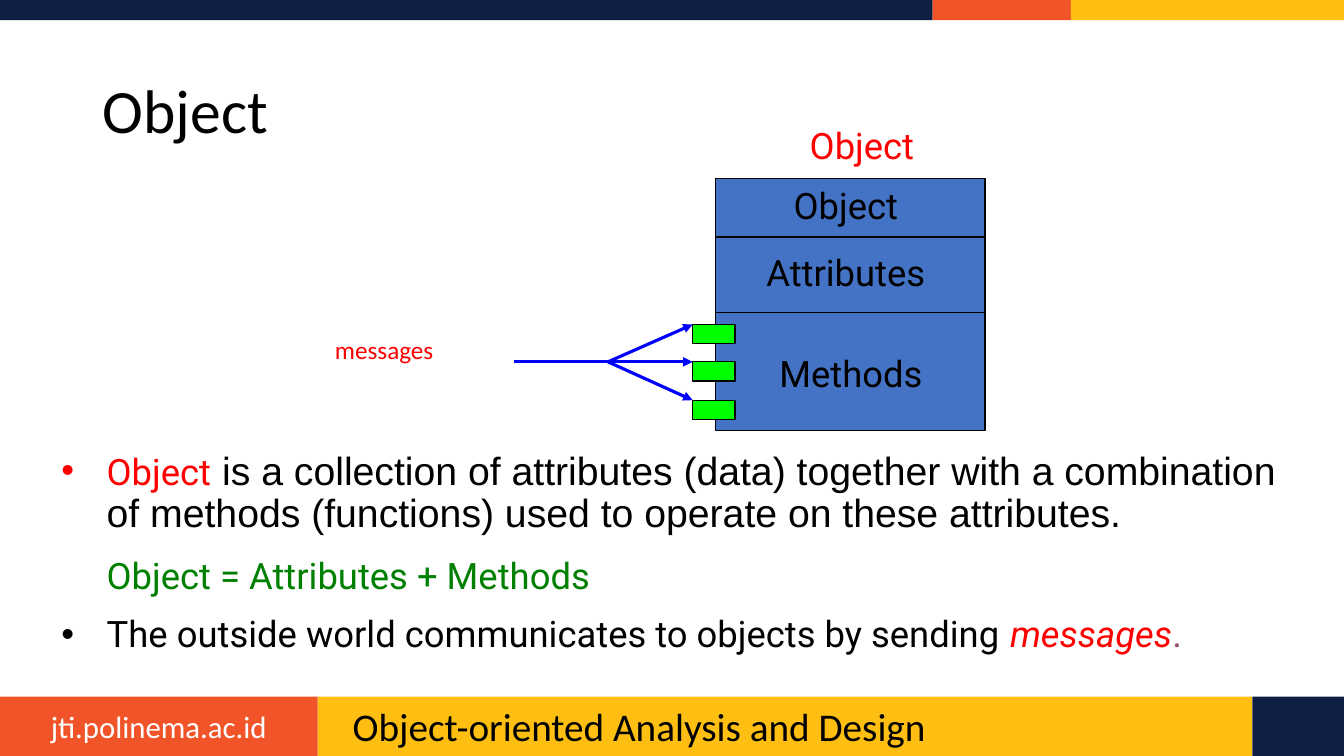
from dataclasses import dataclass

from lxml import etree
from pptx import Presentation
from pptx.dml.color import RGBColor
from pptx.enum.shapes import MSO_CONNECTOR as Connector, MSO_SHAPE as Shape
from pptx.enum.text import MSO_ANCHOR as Anchor, PP_ALIGN as Align
from pptx.oxml.ns import qn
from pptx.util import Inches, Pt


@dataclass(frozen=True)
class Theme:
    navy: str = "0E1F43"
    orange: str = "F15429"
    yellow: str = "FEBF12"
    blue: str = "4472C4"
    lime: str = "00FF00"
    arrow: str = "0000FF"
    red: str = "FF0000"
    green: str = "008000"
    purple: str = "954F72"
    black: str = "000000"
    white: str = "FFFFFF"
    title_size: int = 44
    large_size: int = 28
    label_size: int = 26
    address_size: int = 22
    message_size: int = 18
    plain_font: str = "Calibri"
    label_font: str = "Roboto"
    body_font: str = "Arial"


def write_run(paragraph, text, *, size, font, color, italic=False):
    run = paragraph.add_run()
    run.text = text
    run.font.size = Pt(size)
    run.font.name = font
    run.font.italic = italic
    run.font.color.rgb = RGBColor.from_string(color)


class SlideBuilder:
    def __init__(self, slide, theme):
        self.slide = slide
        self.theme = theme

    def title(self, text, left, top, width, height):
        shape = self.slide.shapes.title
        shape.left, shape.top = Inches(left), Inches(top)
        shape.width, shape.height = Inches(width), Inches(height)
        frame = shape.text_frame
        frame.vertical_anchor = Anchor.MIDDLE
        paragraph = frame.paragraphs[0]
        paragraph.alignment = Align.LEFT
        paragraph.line_spacing = 0.9
        write_run(paragraph, text, size=self.theme.title_size,
                  font=self.theme.plain_font, color=self.theme.black)

    def box(self, left, top, width, height, fill, outlined=False):
        shape = self.slide.shapes.add_shape(
            Shape.RECTANGLE, Inches(left), Inches(top), Inches(width), Inches(height))
        shape.shadow.inherit = False
        shape.fill.solid()
        shape.fill.fore_color.rgb = RGBColor.from_string(fill)
        if outlined:
            shape.line.color.rgb = RGBColor.from_string(self.theme.black)
            shape.line.width = Pt(0.75)
        else:
            shape.line.fill.background()

    def line(self, start, end, color, width, arrow=False):
        connector = self.slide.shapes.add_connector(
            Connector.STRAIGHT, *map(Inches, start), *map(Inches, end))
        connector.line.color.rgb = RGBColor.from_string(color)
        connector.line.width = Pt(width)
        if arrow:
            outline = connector.line._get_or_add_ln()
            etree.SubElement(outline, qn("a:tailEnd"), type="triangle")
        etree.SubElement(connector._element.spPr, qn("a:effectLst"))

    def text_frame(self, left, top, width, height):
        shape = self.slide.shapes.add_textbox(
            Inches(left), Inches(top), Inches(width), Inches(height))
        shape.text_frame.word_wrap = True
        return shape.text_frame

    def label(self, text, left, top, width, height, *, align=Align.CENTER,
              spacing=1.0, **style):
        paragraph = self.text_frame(left, top, width, height).paragraphs[0]
        paragraph.alignment = align
        paragraph.line_spacing = spacing
        write_run(paragraph, text, **style)

    def body(self, left, top, width, height, items):
        frame = self.text_frame(left, top, width, height)
        for index, (bullet_color, space_before, runs) in enumerate(items):
            paragraph = frame.paragraphs[0] if index == 0 else frame.add_paragraph()
            properties = paragraph._p.get_or_add_pPr()
            properties.set("marL", str(Inches(0.45)))
            if bullet_color:
                properties.set("indent", str(Inches(-0.45)))
                color = etree.SubElement(properties, qn("a:buClr"))
                etree.SubElement(color, qn("a:srgbClr"), val=bullet_color)
                etree.SubElement(properties, qn("a:buFont"), typeface=self.theme.body_font)
                etree.SubElement(properties, qn("a:buChar"), char="•")
            paragraph.line_spacing = 0.9
            paragraph.space_before = Pt(space_before)
            for text, style in runs:
                write_run(paragraph, text, **style)


def draw_bands(builder, theme):
    for left, width, color in ((0, 9.25, theme.navy), (9.25, 1.38, theme.orange),
                               (10.62, 2.71, theme.yellow)):
        builder.box(left, 0, width, 0.2, color)
    for left, width, color in ((3.15, 9.27, theme.yellow), (0, 3.15, theme.orange),
                               (12.42, 0.91, theme.navy)):
        builder.box(left, 6.91, width, 0.59, color)
    builder.label("jti.polinema.ac.id", 0, 6.97, 3.15, 0.47, size=theme.address_size,
                  font=theme.plain_font, color=theme.white)
    builder.label("Object-oriented Analysis and Design", 3.4, 6.97, 8.74, 0.4,
                  align=Align.LEFT, spacing=0.9, size=theme.large_size,
                  font=theme.plain_font, color=theme.black)


def draw_object(builder, theme):
    left, right, top = 7.1, 9.77, 1.77
    label_style = dict(size=theme.label_size, font=theme.label_font)
    builder.box(left, top, right - left, 2.5, theme.blue, outlined=True)
    builder.label("Methods", 7.18, 3.43, 2.52, 0.57, color=theme.black, **label_style)
    for text, label_top in (("Object", top), ("Attributes", 2.43)):
        builder.label(text, left, label_top, 2.58, 0.42, color=theme.black, **label_style)
    for divider in (2.35, 3.1):
        builder.line((left, divider), (right, divider), theme.black, 1)
    builder.label("Object", 7.71, 1.17, 1.68, 0.56, color=theme.red, **label_style)


def draw_messages(builder, theme):
    port_left, port_tops = 6.87, (3.22, 3.59, 3.97)
    fork = (6.03, 3.59)
    for port_top in port_tops:
        builder.box(port_left, port_top, 0.42, 0.19, theme.lime, outlined=True)
    for port_top in port_tops:
        builder.line(fork, (port_left, port_top), theme.arrow, 2.25, arrow=True)
    builder.line((5.1, fork[1]), fork, theme.arrow, 2.25)
    builder.label("messages", 2.52, 3.27, 2.58, 0.92, size=theme.message_size,
                  font=theme.plain_font, color=theme.red)


def write_body(builder, theme):
    def label_style(color, **extra):
        return dict(size=theme.label_size, font=theme.label_font, color=color, **extra)

    definition_style = dict(size=theme.large_size, font=theme.body_font, color=theme.black)
    builder.body(0.51, 4.43, 12.62, 2.13, [
        (theme.red, 0, [
            ("Object", label_style(theme.red)),
            (" is a collection of attributes (data) together with a combination of "
             "methods (functions) used to operate on these attributes.", definition_style),
        ]),
        (None, 16, [("Object = Attributes + Methods", label_style(theme.green))]),
        (theme.black, 13, [
            ("The outside world communicates to objects by sending ",
             label_style(theme.black)),
            ("messages", label_style(theme.red, italic=True)),
            (".", label_style(theme.purple)),
        ]),
    ])


def main():
    presentation = Presentation()
    presentation.slide_width = Inches(13.33)
    presentation.slide_height = Inches(7.5)
    theme = Theme()
    slide = presentation.slides.add_slide(presentation.slide_layouts[5])
    builder = SlideBuilder(slide, theme)
    draw_bands(builder, theme)
    builder.title("Object", 0.92, 0.4, 10.24, 1.45)
    draw_object(builder, theme)
    draw_messages(builder, theme)
    write_body(builder, theme)
    presentation.save("out.pptx")


if __name__ == "__main__":
    main()
